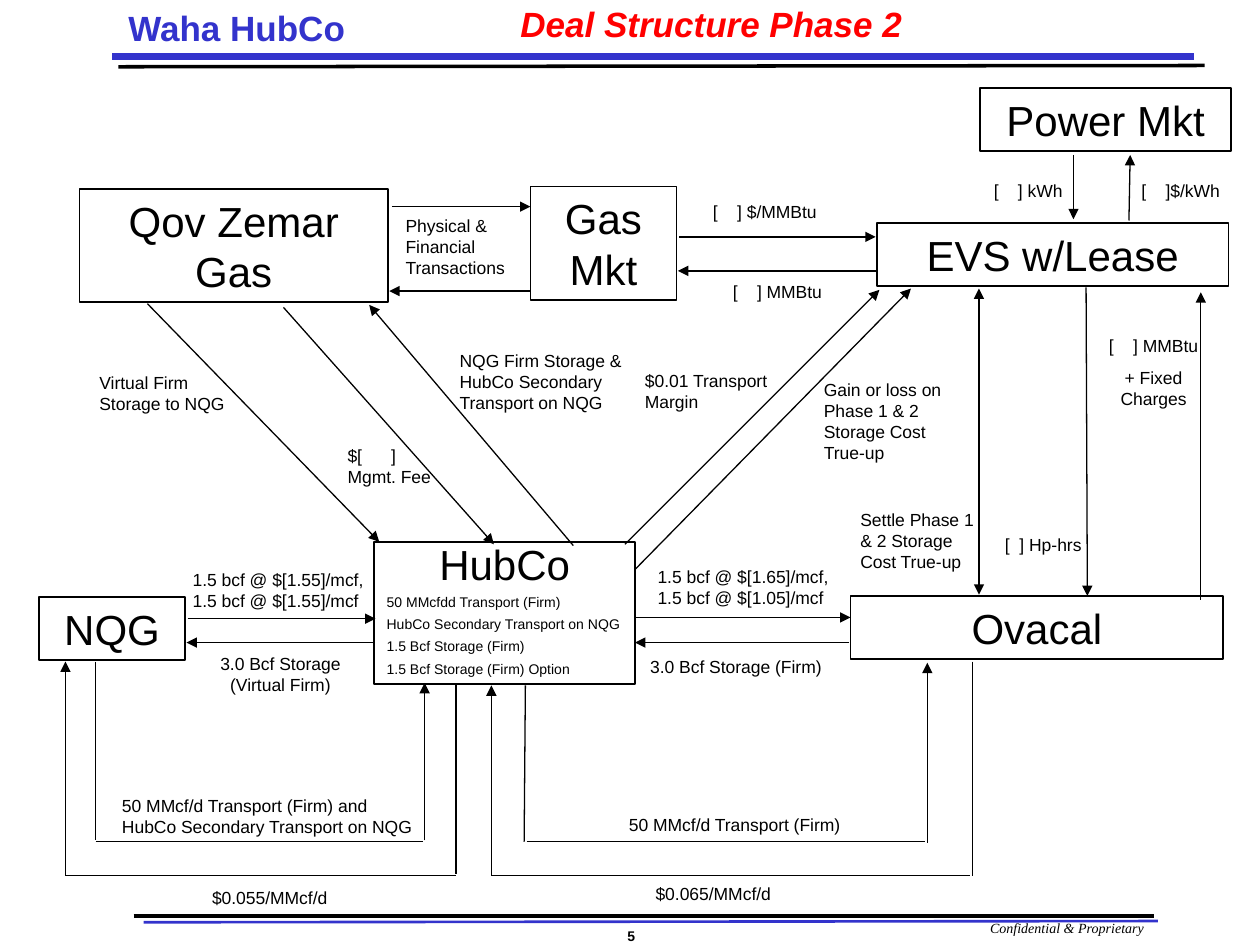
from lxml import etree
from pptx import Presentation
from pptx.dml.color import RGBColor
from pptx.enum.shapes import MSO_CONNECTOR, MSO_SHAPE
from pptx.enum.text import MSO_ANCHOR, MSO_AUTO_SIZE, PP_ALIGN
from pptx.oxml.ns import qn
from pptx.util import Inches, Pt

BLACK = RGBColor(0x00, 0x00, 0x00)
BLUE = RGBColor(0x33, 0x33, 0xCC)
RED = RGBColor(0xFF, 0x00, 0x00)
LEFT, MID, RIGHT = PP_ALIGN.LEFT, PP_ALIGN.CENTER, PP_ALIGN.RIGHT
TOP, MIDDLE = MSO_ANCHOR.TOP, MSO_ANCHOR.MIDDLE
GROW, FIXED = MSO_AUTO_SIZE.SHAPE_TO_FIT_TEXT, MSO_AUTO_SIZE.NONE
RECT, LINE = MSO_SHAPE.RECTANGLE, MSO_CONNECTOR.STRAIGHT

deck = Presentation()
deck.slide_width, deck.slide_height = Inches(10), Inches(7.5)
slide = deck.slides.add_slide(deck.slide_layouts[5])
shapes = slide.shapes


def write(shape, rows, fit=GROW, anchor=TOP):
    """Fill a shape with rows of (text, paragraph format, font format)."""
    frame = shape.text_frame
    frame.word_wrap, frame.auto_size, frame.vertical_anchor = True, fit, anchor
    for i, (text, layout, style) in enumerate(rows):
        para = frame.paragraphs[0] if i == 0 else frame.add_paragraph()
        run = para.add_run()
        run.text = text
        for name, value in layout.items():
            setattr(para, name, value)
        look = {"name": "Arial", "color": BLACK, **style}
        run.font.color.rgb = look.pop("color")
        for name, value in look.items():
            setattr(run.font, name, value)


def link(x1, y1, x2, y2, ends=(), color=BLACK, width=0.75):
    """Draw a line, with a triangle at each of the named ends."""
    line = shapes.add_connector(LINE, Inches(x1), Inches(y1), Inches(x2), Inches(y2))
    line.line.color.rgb = color
    line.line.width = Pt(width)
    props = line._element.spPr
    for end in ends:
        etree.SubElement(props.find(qn("a:ln")), qn("a:" + end), type="triangle")
    etree.SubElement(props, qn("a:effectLst"))


# Header and footer rules
for x1, y1, x2, y2, color, width in [
    (1.14, 7.32, 9.19, 7.31, BLUE, 1.5),
    (1.06, 7.27, 9.16, 7.27, BLACK, 2.25),
    (0.89, 0.45, 9.48, 0.45, BLUE, 4),
    (0.94, 0.53, 9.56, 0.52, BLACK, 2),
]:
    link(x1, y1, x2, y2, (), color, width)

# Title
title = shapes.title
title.left, title.top = Inches(4.03), Inches(0)
title.width, title.height = Inches(4.2), Inches(0.43)
bold = {"size": Pt(20), "bold": True}
write(title, [("Deal Structure Phase 2", {"alignment": LEFT, "line_spacing": 0.8},
               {**bold, "italic": True, "color": RED})], FIXED, MIDDLE)

# Header and footer text
for x, y, w, h, text, align, style in [
    (0.92, 0, 5.1, 0.43, "Waha HubCo", LEFT, {**bold, "color": BLUE}),
    (4.64, 7.31, 0.74, 0.24, "5", MID, {"size": Pt(8), "bold": True}),
    (6.18, 7.25, 3, 0.23, "Confidential & Proprietary", RIGHT,
     {"size": Pt(8), "italic": True, "name": "Times New Roman"}),
]:
    box = shapes.add_textbox(Inches(x), Inches(y), Inches(w), Inches(h))
    write(box, [(text, {"alignment": align}, style)])

# Parties
head = {"alignment": MID, "space_before": Pt(15)}
item = {"alignment": LEFT, "space_before": Pt(5), "line_spacing": 0.8}
big, small = {"size": Pt(24)}, {"size": Pt(8)}
hub = [("HubCo", {**head, "line_spacing": 0.8}, big)] + [
    (text, item, small) for text in (
        "50 MMcfdd Transport (Firm)",
        "HubCo Secondary Transport on NQG",
        "1.5 Bcf Storage (Firm)",
        "1.5 Bcf Storage (Firm) Option",
    )]
for x, y, w, h, rows in [
    (0.31, 4.74, 1.16, 0.5, [("NQG", head, big)]),
    (6.75, 4.73, 2.96, 0.5, [("Ovacal", head, big)]),
    (6.96, 1.77, 2.79, 0.5, [("EVS w/Lease", head, big)]),
    (7.78, 0.7, 1.99, 0.5, [("Power Mkt", head, big)]),
    (4.21, 1.48, 1.16, 0.9, [("Gas Mkt", head, big)]),
    (0.63, 1.5, 2.45, 0.9, [("Qov Zemar Gas", head, big)]),
    (2.97, 4.3, 2.07, 1.13, hub),
]:
    party = shapes.add_shape(RECT, Inches(x), Inches(y), Inches(w), Inches(h))
    party.shadow.inherit = False
    party.fill.background()
    party.line.color.rgb = BLACK
    party.line.width = Pt(1)
    write(party, rows)

# One-way flows, each pointing at its second end
for flow in [
    (1.49, 4.91, 2.98, 4.91), (2.96, 5.1, 1.48, 5.1),
    (5.04, 4.9, 6.75, 4.9), (6.74, 5.1, 5.04, 5.1),
    (0.52, 6.95, 0.52, 5.25), (3.37, 6.67, 3.37, 5.42),
    (3.9, 6.95, 3.9, 5.44), (7.36, 6.69, 7.36, 5.26),
    (9.53, 4.76, 9.53, 2.32), (8.62, 2.28, 8.63, 4.73),
    (5.39, 1.88, 6.95, 1.88), (6.95, 2.15, 5.38, 2.15),
    (8.96, 1.75, 8.97, 1.23), (8.52, 1.23, 8.52, 1.74),
    (3.11, 1.64, 4.21, 1.64), (4.21, 2.31, 3.09, 2.31),
    (4.55, 4.33, 2.93, 2.42), (1.17, 2.41, 3.01, 4.3),
    (2.25, 2.44, 3.92, 4.32), (4.96, 4.32, 6.98, 2.3),
    (5.04, 4.52, 7.23, 2.29),
]:
    link(*flow, ["tailEnd"])

# Two-way flow
link(7.77, 2.29, 7.77, 4.72, ["headEnd", "tailEnd"])

# Plain legs of the loops below
for leg in [
    (0.52, 6.95, 3.62, 6.95), (3.62, 5.44, 3.62, 6.94),
    (0.76, 5.25, 0.76, 6.67), (0.76, 6.68, 3.36, 6.68),
    (4.17, 5.44, 4.16, 6.68), (4.18, 6.68, 7.34, 6.68),
    (3.9, 6.95, 7.7, 6.95), (7.72, 5.25, 7.72, 6.95),
]:
    link(*leg)

# Flow labels
for x, y, w, h, align, *texts in [
    (1.23, 6.99, 1.82, 0.27, MID, "$0.055/MMcf/d"),
    (4.7, 6.41, 2.26, 0.27, MID, "50 MMcf/d Transport (Firm)"),
    (1.48, 5.13, 1.49, 0.44, MID, "3.0 Bcf Storage (Virtual Firm)"),
    (4.93, 5.16, 1.82, 0.27, MID, "3.0 Bcf Storage (Firm)"),
    (4.75, 6.96, 1.82, 0.27, MID, "$0.065/MMcf/d"),
    (7.71, 4.19, 1.14, 0.27, MID, "[  ] Hp-hrs"),
    (8.61, 2.61, 1.09, 0.69, MID, "[    ] MMBtu", "+ Fixed Charges"),
    (8.88, 1.38, 0.98, 0.27, MID, "[    ]$/kWh"),
    (7.6, 1.38, 1.12, 0.27, MID, "[    ] kWh"),
    (5.49, 2.18, 1.36, 0.27, MID, "[    ] MMBtu"),
    (5.39, 1.55, 1.36, 0.27, MID, "[    ] $/MMBtu"),
    (1.43, 4.47, 1.69, 0.44, LEFT, "1.5 bcf @ $[1.55]/mcf, 1.5 bcf @ $[1.55]/mcf"),
    (5.12, 4.44, 1.69, 0.44, LEFT, "1.5 bcf @ $[1.65]/mcf, 1.5 bcf @ $[1.05]/mcf"),
    (3.12, 1.66, 1.08, 0.6, LEFT, "Physical & Financial Transactions"),
    (3.55, 2.73, 1.63, 0.6, LEFT, "NQG Firm Storage & HubCo Secondary Transport on NQG"),
    (2.66, 3.48, 0.88, 0.44, LEFT, "$[      ] Mgmt. Fee"),
    (0.69, 2.9, 1.25, 0.44, LEFT, "Virtual Firm Storage to NQG"),
    (5.02, 2.89, 1.59, 0.44, LEFT, "$0.01 Transport Margin"),
    (0.87, 6.26, 2.57, 0.44, LEFT,
     "50 MMcf/d Transport (Firm) and HubCo Secondary Transport on NQG"),
    (6.44, 2.96, 1.32, 0.77, LEFT, "Gain or loss on Phase 1 & 2 Storage Cost True-up"),
    (6.73, 3.99, 1.22, 0.6, LEFT, "Settle Phase 1 & 2 Storage Cost True-up"),
]:
    label = shapes.add_textbox(Inches(x), Inches(y), Inches(w), Inches(h))
    layout = {"alignment": align, "space_before": Pt(6.2)}
    write(label, [(text, layout, {"size": Pt(10)}) for text in texts])

deck.save("out.pptx")
